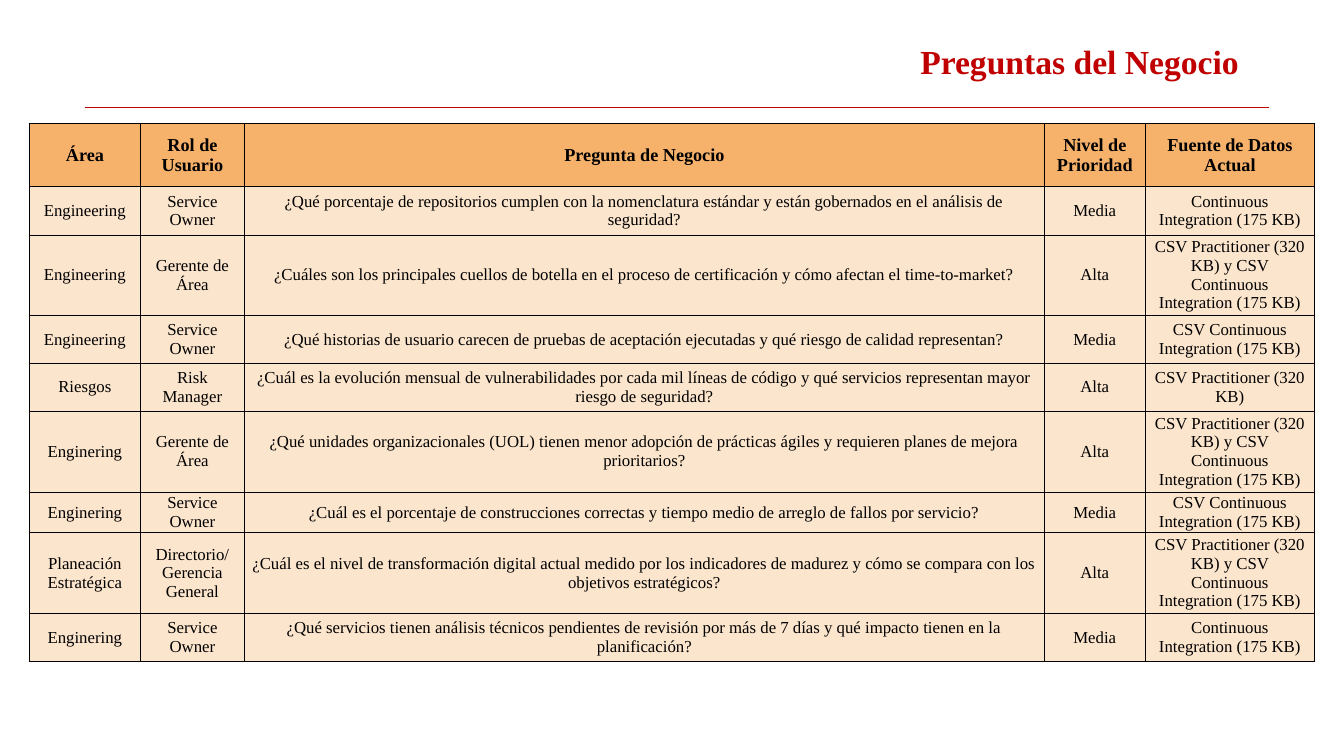
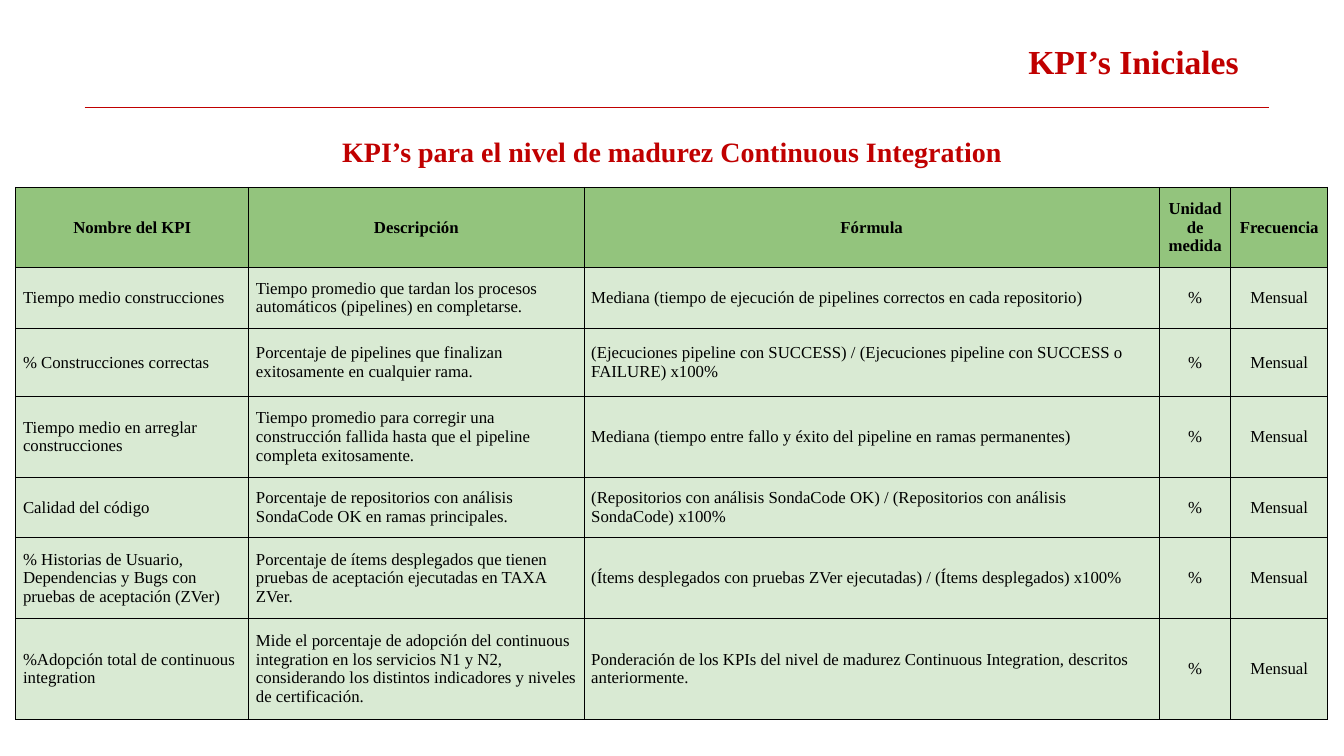
from lxml.etree import SubElement
from pptx import Presentation
from pptx.dml.color import RGBColor
from pptx.enum.shapes import MSO_CONNECTOR
from pptx.enum.text import MSO_ANCHOR as Anchor, MSO_AUTO_SIZE as AutoSize, PP_ALIGN as Align
from pptx.oxml.ns import qn
from pptx.util import Cm, Pt

COLORS = {
    "accent": "C00000",
    "text": "000000",
    "orange_head": "F6B26B",
    "orange_body": "FCE5CD",
    "green_head": "93C47D",
    "green_body": "D9EAD3",
}
FONT = "Times New Roman"
TITLE_ONLY = 5

INTEGRATION = "Continuous Integration (175 KB)"
CSV_INTEGRATION = f"CSV {INTEGRATION}"
CSV_PRACTITIONER = "CSV Practitioner (320 KB)"
CSV_BOTH = f"{CSV_PRACTITIONER} y {CSV_INTEGRATION}"

QUESTION_HEADERS = ["Área", "Rol de Usuario", "Pregunta de Negocio",
                    "Nivel de Prioridad", "Fuente de Datos Actual"]
QUESTIONS = [
    ["Engineering", "Service Owner",
     "¿Qué porcentaje de repositorios cumplen con la nomenclatura estándar y están gobernados "
     "en el análisis de seguridad?", "Media", INTEGRATION],
    ["Engineering", "Gerente de Área",
     "¿Cuáles son los principales cuellos de botella en el proceso de certificación y cómo "
     "afectan el time-to-market?", "Alta", CSV_BOTH],
    ["Engineering", "Service Owner",
     "¿Qué historias de usuario carecen de pruebas de aceptación ejecutadas y qué riesgo de "
     "calidad representan?", "Media", CSV_INTEGRATION],
    ["Riesgos", "Risk Manager",
     "¿Cuál es la evolución mensual de vulnerabilidades por cada mil líneas de código y qué "
     "servicios representan mayor riesgo de seguridad?", "Alta", CSV_PRACTITIONER],
    ["Enginering", "Gerente de Área",
     "¿Qué unidades organizacionales (UOL) tienen menor adopción de prácticas ágiles y "
     "requieren planes de mejora prioritarios?", "Alta", CSV_BOTH],
    ["Enginering", "Service Owner",
     "¿Cuál es el porcentaje de construcciones correctas y tiempo medio de arreglo de fallos "
     "por servicio?", "Media", CSV_INTEGRATION],
    ["Planeación Estratégica", "Directorio/\nGerencia General",
     "¿Cuál es el nivel de transformación digital actual medido por los indicadores de madurez "
     "y cómo se compara con los objetivos estratégicos?", "Alta", CSV_BOTH],
    ["Enginering", "Service Owner",
     "¿Qué servicios tienen análisis técnicos pendientes de revisión por más de 7 días y qué "
     "impacto tienen en la planificación?", "Media", INTEGRATION],
]

KPI_HEADERS = ["Nombre del KPI", "Descripción", "Fórmula", "Unidad de medida", "Frecuencia"]
KPIS = [
    ["Tiempo medio construcciones",
     "Tiempo promedio que tardan los procesos automáticos (pipelines) en completarse.",
     "Mediana (tiempo de ejecución de pipelines correctos en cada repositorio)"],
    ["% Construcciones correctas",
     "Porcentaje de pipelines que finalizan exitosamente en cualquier rama.",
     "(Ejecuciones pipeline con SUCCESS) / (Ejecuciones pipeline con SUCCESS o FAILURE) x100%"],
    ["Tiempo medio en arreglar construcciones",
     "Tiempo promedio para corregir una construcción fallida hasta que el pipeline completa "
     "exitosamente.",
     "Mediana (tiempo entre fallo y éxito del pipeline en ramas permanentes)"],
    ["Calidad del código",
     "Porcentaje de repositorios con análisis SondaCode OK en ramas principales.",
     "(Repositorios con análisis SondaCode OK) / (Repositorios con análisis SondaCode) x100%"],
    ["% Historias de Usuario, Dependencias y Bugs con pruebas de aceptación (ZVer)",
     "Porcentaje de ítems desplegados que tienen pruebas de aceptación ejecutadas en TAXA ZVer.",
     "(Ítems desplegados con pruebas ZVer ejecutadas) / (Ítems desplegados) x100%"],
    ["%Adopción total de continuous integration",
     "Mide el porcentaje de adopción del continuous integration en los servicios N1 y N2, "
     "considerando los distintos indicadores y niveles de certificación.",
     "Ponderación de los KPIs del nivel de madurez Continuous Integration, descritos "
     "anteriormente."],
]


def color(name):
    return RGBColor.from_string(COLORS[name])


class Deck:
    def __init__(self):
        self.presentation = Presentation()
        self.presentation.slide_width = Cm(33.87)
        self.presentation.slide_height = Cm(19.05)
        self.slide = None

    def fill_paragraph(self, paragraph, text, size, color_name, bold, align):
        paragraph.text = text
        paragraph.alignment = align
        for run in paragraph.runs:
            run.font.name = FONT
            run.font.size = Pt(size)
            run.font.bold = bold
            run.font.color.rgb = color(color_name)

    def heading(self, shape, text, size, align, box, margin):
        shape.left, shape.top, shape.width, shape.height = map(Cm, box)
        frame = shape.text_frame
        frame.word_wrap = True
        frame.auto_size = AutoSize.SHAPE_TO_FIT_TEXT
        frame.vertical_anchor = Anchor.TOP
        frame.margin_left = frame.margin_right = Cm(0.25)
        frame.margin_top = frame.margin_bottom = Cm(margin)
        self.fill_paragraph(frame.paragraphs[0], text, size, "accent", True, align)

    def add_slide(self, title):
        layout = self.presentation.slide_layouts[TITLE_ONLY]
        self.slide = self.presentation.slides.add_slide(layout)
        self.heading(self.slide.shapes.title, title, 24, Align.RIGHT,
                     (11.97, 0.91, 19.5, 1.28), 0.13)
        self.rule(2.13, 31.98, 2.72)

    def rule(self, left, right, top):
        line = self.slide.shapes.add_connector(
            MSO_CONNECTOR.STRAIGHT, Cm(left), Cm(top), Cm(right), Cm(top))
        line.line.color.rgb = color("accent")
        line.line.width = Pt(0.75)
        SubElement(line.element.spPr, qn("a:effectLst"))

    def subtitle(self, text):
        box = (8, 3.15, 17.88, 1.37)
        shape = self.slide.shapes.add_textbox(*map(Cm, box))
        self.heading(shape, text, 20, Align.CENTER, box, 0.25)

    def border(self, cell, width):
        properties = cell._tc.get_or_add_tcPr()
        for side in ("lnL", "lnR", "lnT", "lnB"):
            line = SubElement(properties, qn(f"a:{side}"), w=str(Pt(width)))
            fill = SubElement(line, qn("a:solidFill"))
            SubElement(fill, qn("a:srgbClr"), val=COLORS["text"])

    def table(self, left, top, widths, heights, rows, palette, border_width,
              head_size=12, body_margin=0.25, left_columns=0):
        frame = self.slide.shapes.add_table(
            len(rows), len(widths), Cm(left), Cm(top), Cm(sum(widths)), Cm(sum(heights)))
        table = frame.table
        table.first_row = table.horz_banding = False
        for column, width in zip(table.columns, widths):
            column.width = Cm(width)
        for row, height in zip(table.rows, heights):
            row.height = Cm(height)
        for row_index, texts in enumerate(rows):
            head = row_index == 0
            for column_index, text in enumerate(texts):
                cell = table.cell(row_index, column_index)
                self.border(cell, border_width)
                cell.fill.solid()
                cell.fill.fore_color.rgb = color(f"{palette}_{'head' if head else 'body'}")
                cell.vertical_anchor = Anchor.MIDDLE
                cell.margin_left = cell.margin_right = Cm(0.18)
                cell.margin_top = cell.margin_bottom = Cm(0.25 if head else body_margin)
                centered = head or column_index >= left_columns
                self.fill_paragraph(cell.text_frame.paragraphs[0], text,
                                    head_size if head else 12, "text", head,
                                    Align.CENTER if centered else Align.LEFT)


def main():
    deck = Deck()

    deck.add_slide("Preguntas del Negocio")
    deck.table(0.74, 3.1, [2.8, 2.62, 20.16, 2.54, 4.27],
               [1.61, 1.21, 2.02, 1.2, 1.21, 2.02, 1.03, 2.02, 1.21],
               [QUESTION_HEADERS] + QUESTIONS, "orange", 0.68, head_size=13, body_margin=0)

    deck.add_slide("KPI’s Iniciales")
    deck.table(0.4, 4.72, [5.87, 8.45, 14.5, 1.8, 2.44],
               [2.02, 1.53, 1.72, 2.03, 1.53, 2.03, 2.55],
               [KPI_HEADERS] + [kpi + ["%", "Mensual"] for kpi in KPIS],
               "green", 0.94, left_columns=3)
    deck.subtitle("KPI’s para el nivel de madurez Continuous Integration")

    deck.presentation.save("out.pptx")


if __name__ == "__main__":
    main()
